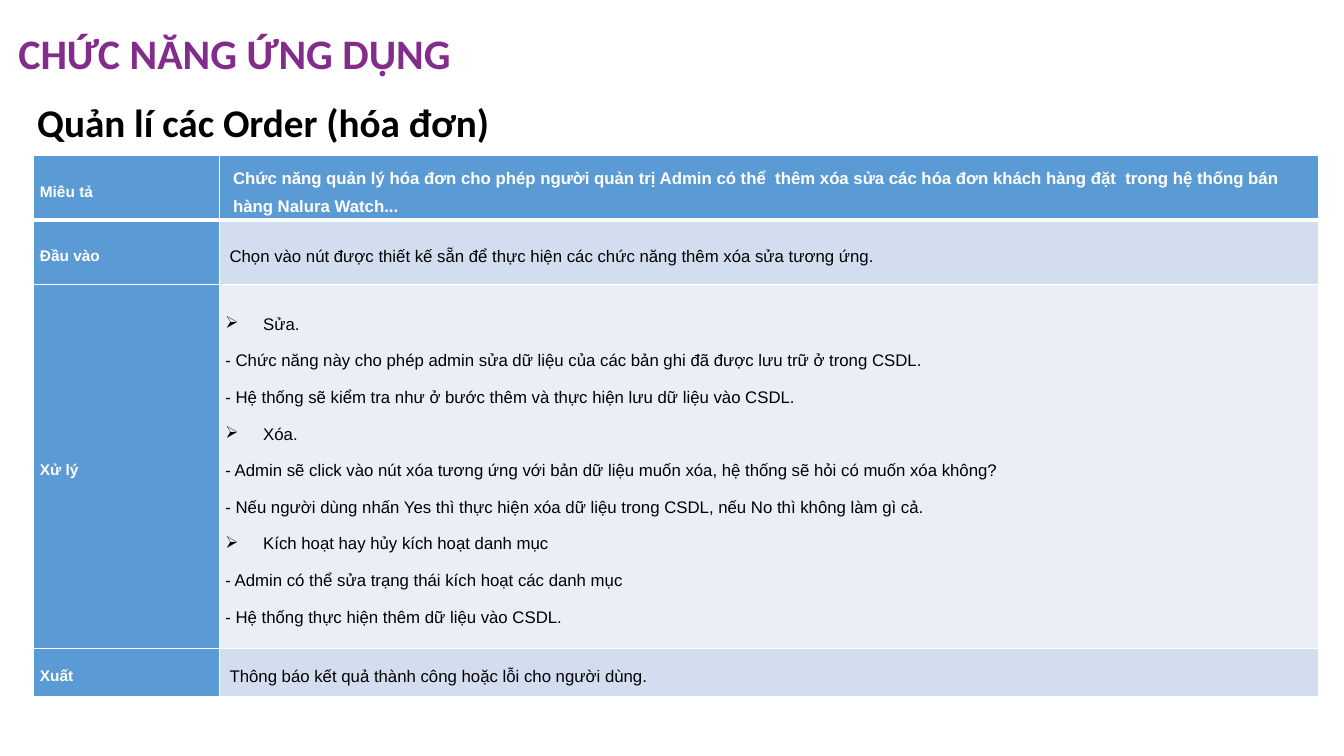
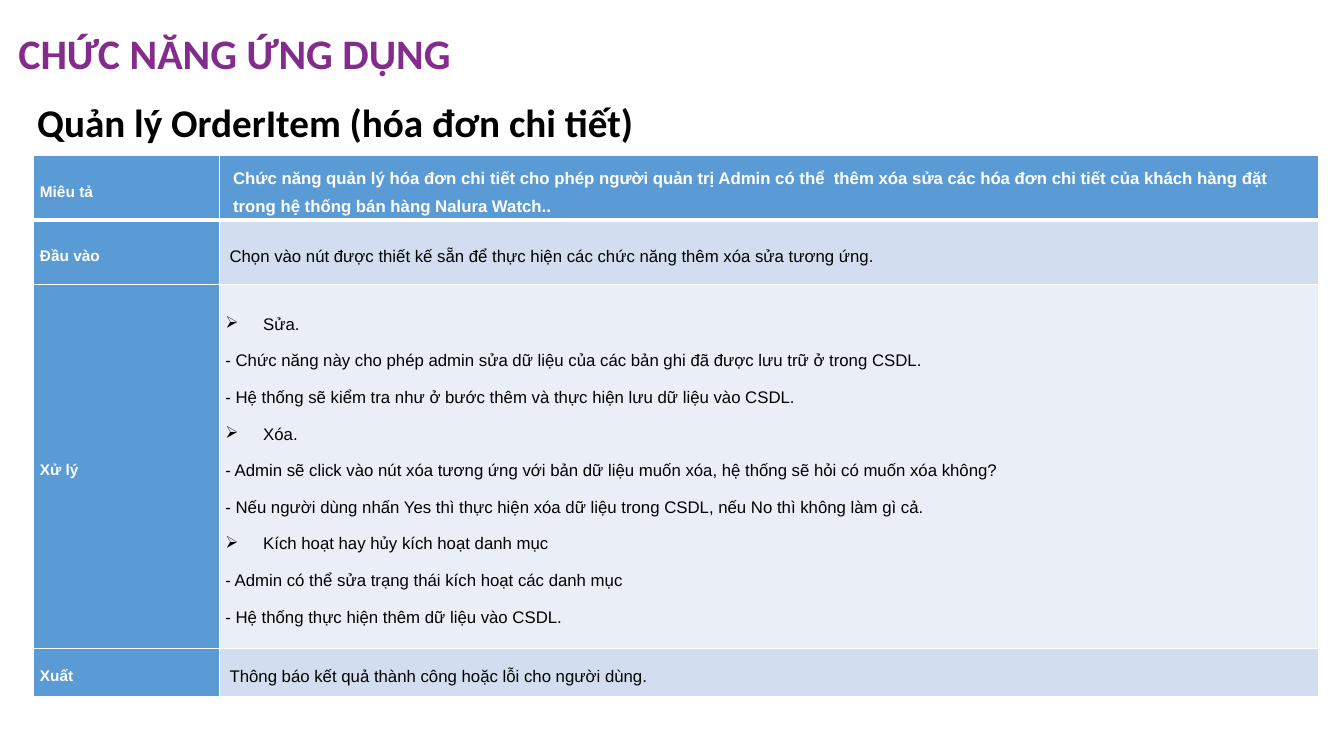
from lxml.etree import SubElement
from pptx import Presentation
from pptx.dml.color import RGBColor
from pptx.enum.text import MSO_ANCHOR as ANCHOR
from pptx.oxml import parse_xml
from pptx.oxml.ns import nsdecls, qn
from pptx.util import Pt

TITLE = "CHỨC NĂNG ỨNG DỤNG"
SLIDES = [
    ("Quản lí các Order (hóa đơn)",
     "Chức năng quản lý hóa đơn cho phép người quản trị Admin có thể  thêm xóa sửa các hóa đơn "
     "khách hàng đặt  trong hệ thống bán hàng Nalura Watch..."),
    ("Quản lý OrderItem (hóa đơn chi tiết)",
     "Chức năng quản lý hóa đơn chi tiết cho phép người quản trị Admin có thể  thêm xóa sửa các "
     "hóa đơn chi tiết của khách hàng đặt  trong hệ thống bán hàng Nalura Watch.."),
]
INPUT = "Chọn vào nút được thiết kế sẵn để thực hiện các chức năng thêm xóa sửa tương ứng."
OUTPUT = "Thông báo kết quả thành công hoặc lỗi cho người dùng."
STEPS = [
    ("Sửa.", [
        "- Chức năng này cho phép admin sửa dữ liệu của các bản ghi đã được lưu trữ ở trong CSDL.",
        "- Hệ thống sẽ kiểm tra như ở bước thêm và thực hiện lưu dữ liệu vào CSDL."]),
    ("Xóa.", [
        "- Admin sẽ click vào nút xóa tương ứng với bản dữ liệu muốn xóa, hệ thống sẽ hỏi có muốn xóa không?",
        "- Nếu người dùng nhấn Yes thì thực hiện xóa dữ liệu trong CSDL, nếu No thì không làm gì cả."]),
    ("Kích hoạt hay hủy kích hoạt danh mục", [
        "- Admin có thể sửa trạng thái kích hoạt các danh mục",
        "- Hệ thống thực hiện thêm dữ liệu vào CSDL."]),
]

PURPLE, BLACK, WHITE = "832C8B", "000000", "FFFFFF"
BLUE, BAND, PALE = "5B9BD5", "D2DEEF", "EAEFF7"
COLS = [132.5, 785.5]
ROWS = [46, 46, 260, 34.5]
HEAD_LINE, LINE = 3, 1


def rgb(value):
    return RGBColor.from_string(value)


def add_text(tf, text, size=12, color=BLACK, bold=False, font="Arial",
             spacing=1.5, before=6, left=0, bullet=None):
    first = not tf.text
    p = tf.paragraphs[0] if first else tf.add_paragraph()
    pPr = p._p.get_or_add_pPr()
    pPr.set("marL", str(Pt(left)))
    pPr.set("indent", str(Pt(-left if bullet else 0)))
    if bullet:
        SubElement(pPr, qn("a:buChar")).set("char", bullet)
    p.line_spacing = spacing
    p.space_before = Pt(0 if first else before)
    r = p.add_run()
    r.text = text
    r.font.name, r.font.size, r.font.bold = font, Pt(size), bold
    r.font.color.rgb = rgb(color)


def add_heading(s, text, x, y, w, h, anchor=ANCHOR.TOP, **fmt):
    tf = s.shapes.add_textbox(Pt(x), Pt(y), Pt(w), Pt(h)).text_frame
    tf.word_wrap = True
    tf.vertical_anchor = anchor
    tf.margin_left = tf.margin_right = tf.margin_top = tf.margin_bottom = Pt(7.2)
    add_text(tf, text, font="Calibri", bold=True, spacing=0.9, **fmt)


def style_cell(cell, fill, top, bottom):
    cell.margin_left = cell.margin_right = Pt(4.5)
    cell.margin_top = cell.margin_bottom = Pt(0)
    cell.vertical_anchor = ANCHOR.MIDDLE
    cell.fill.solid()
    cell.fill.fore_color.rgb = rgb(fill)
    tcPr = cell._tc.get_or_add_tcPr()
    widths = {"lnL": LINE, "lnR": LINE, "lnT": top, "lnB": bottom}
    for i, (tag, width) in enumerate(widths.items()):
        tcPr.insert(i, parse_xml(
            f'<a:{tag} {nsdecls("a")} w="{Pt(width)}"><a:solidFill>'
            f'<a:srgbClr val="{WHITE}"/></a:solidFill></a:{tag}>'))


def add_function_table(s, description):
    steps = []
    for name, details in STEPS:
        steps.append((name, dict(left=27, bullet="➢")))
        steps += [(detail, {}) for detail in details]
    rows = [
        ("Miêu tả", BLUE, [(description, dict(left=5.5, color=WHITE, bold=True))]),
        ("Đầu vào", BAND, [(INPUT, dict(left=3))]),
        ("Xử lý", PALE, steps),
        ("Xuất", BAND, [(OUTPUT, dict(left=3))]),
    ]
    table = s.shapes.add_table(len(ROWS), len(COLS), Pt(24), Pt(111),
                               Pt(sum(COLS)), Pt(sum(ROWS))).table
    for column, width in zip(table.columns, COLS):
        column.width = Pt(width)
    for i, (label, fill, lines) in enumerate(rows):
        table.rows[i].height = Pt(ROWS[i])
        label_cell, body_cell = table.cell(i, 0), table.cell(i, 1)
        top = HEAD_LINE if i == 1 else LINE
        bottom = HEAD_LINE if i == 0 else LINE
        style_cell(label_cell, BLUE, top, bottom)
        style_cell(body_cell, fill, top, bottom)
        add_text(label_cell.text_frame, label, size=11, color=WHITE, bold=True)
        for text, fmt in lines:
            add_text(body_cell.text_frame, text, **fmt)


def main():
    prs = Presentation()
    prs.slide_width, prs.slide_height = Pt(960), Pt(540)
    for subtitle, description in SLIDES:
        s = prs.slides.add_slide(prs.slide_layouts[6])
        add_heading(s, TITLE, 6, 0, 828, 80.5, ANCHOR.MIDDLE, size=30, color=PURPLE)
        add_heading(s, subtitle, 6, 66.5, 936, 44, size=28, left=13.5)
        add_function_table(s, description)
    prs.save("out.pptx")


if __name__ == "__main__":
    main()
